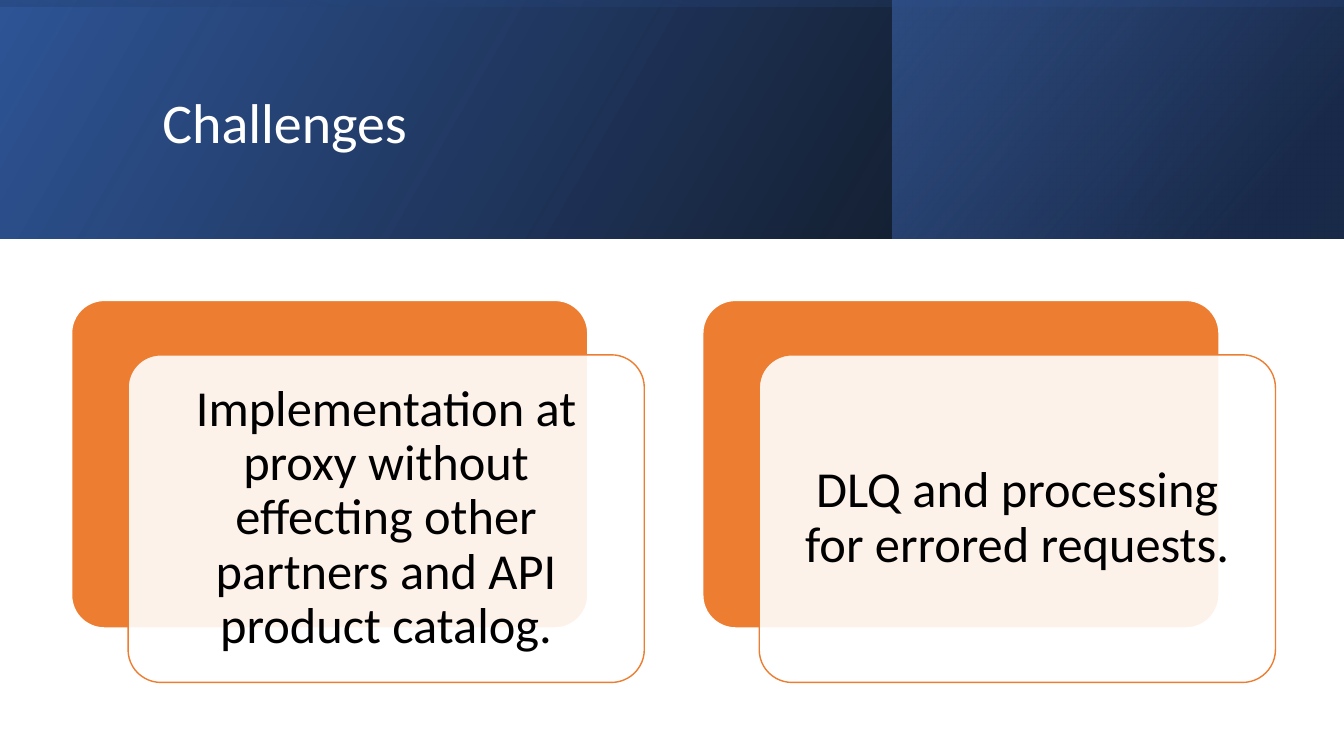
from lxml import etree
from pptx import Presentation
from pptx.dml.color import RGBColor
from pptx.enum.shapes import MSO_SHAPE
from pptx.enum.text import MSO_ANCHOR, PP_ALIGN
from pptx.oxml import parse_xml
from pptx.oxml.ns import nsdecls, qn
from pptx.util import Inches, Pt

RECT, ROUNDED = MSO_SHAPE.RECTANGLE, MSO_SHAPE.ROUNDED_RECTANGLE
MIDDLE = MSO_ANCHOR.MIDDLE
LEFT, CENTER = PP_ALIGN.LEFT, PP_ALIGN.CENTER

WHITE = RGBColor(0xFF, 0xFF, 0xFF)
BLACK = RGBColor(0, 0, 0)
ORANGE = RGBColor(0xED, 0x7D, 0x31)
BLUE = RGBColor(0x2F, 0x55, 0x97)
NAVY = RGBColor(0x20, 0x38, 0x64)
SKY = RGBColor(0x44, 0x72, 0xC4)
FONT = "Calibri"

TITLE = "Challenges"
CHALLENGES = [
    "Implementation at proxy without effecting other partners and API product catalog.",
    "DLQ and processing for errored requests.",
]

SLIDE_W, SLIDE_H = 13.33, 7.5
BAND_H = 2.37
ACCENT_W = 4.48
BAND_MID = (SLIDE_W - BAND_H) / 2
BAND_LAYERS = [
    ((0, 0, SLIDE_W, BAND_H), 0, 330, [(0, BLACK, 96), (100, BLUE, 100)]),
    ((SLIDE_W - ACCENT_W, 0, ACCENT_W, BAND_H), 0, 320, [(19, NAVY, 68), (100, SKY, 48)]),
    ((BAND_MID, -BAND_MID, BAND_H, SLIDE_W), 270, 350, [(23, BLUE, 16), (99, BLACK, 45)]),
]

CARD_W, CARD_H = 5.12, 3.25
CARD_LEFT, CARD_TOP = 0.71, 2.98
CARD_PITCH = 6.26
PANEL_DX, PANEL_DY = 0.56, 0.54

prs = Presentation()
prs.slide_width, prs.slide_height = Inches(SLIDE_W), Inches(SLIDE_H)
slide = prs.slides.add_slide(prs.slide_layouts[5])


def add_block(kind, box):
    block = slide.shapes.add_shape(kind, *(Inches(length) for length in box))
    block.shadow.inherit = False
    return block


def set_alpha(color, percent):
    etree.SubElement(color, qn("a:alpha"), val=str(percent * 1000))


def add_band_layer(box, rotation, angle, stops):
    layer = add_block(RECT, box)
    layer.line.fill.background()
    layer.rotation = rotation
    properties = layer.element.spPr
    properties.find(qn("a:xfrm")).set("flipH", "1")
    gradient = parse_xml(f'<a:gradFill {nsdecls("a")} rotWithShape="1"><a:gsLst/></a:gradFill>')
    for position, color, alpha in stops:
        stop = etree.SubElement(gradient[0], qn("a:gs"), pos=str(position * 1000))
        set_alpha(etree.SubElement(stop, qn("a:srgbClr"), val=str(color)), alpha)
    etree.SubElement(gradient, qn("a:lin"), ang=str(angle * 60000), scaled="0")
    properties.find(qn("a:prstGeom")).addnext(gradient)


def add_card(left, top, fill, outline):
    card = add_block(ROUNDED, (left, top, CARD_W, CARD_H))
    card.adjustments[0] = 0.1
    card.fill.solid()
    card.fill.fore_color.rgb = fill
    card.line.color.rgb = outline
    card.line.width = Pt(1)
    return card


def write(frame, text, size, color, align):
    frame.word_wrap = True
    frame.vertical_anchor = MIDDLE
    paragraph = frame.paragraphs[0]
    paragraph.alignment = align
    paragraph.line_spacing = 0.9
    run = paragraph.add_run()
    run.text = text
    run.font.name, run.font.size = FONT, Pt(size)
    run.font.color.rgb = color


for band_layer in BAND_LAYERS:
    add_band_layer(*band_layer)

title = slide.shapes.title
title.left, title.top = Inches(1.51), Inches(0.38)
title.width, title.height = Inches(10.63), Inches(1.72)
write(title.text_frame, TITLE, 40, WHITE, LEFT)
slide.shapes.element.append(title.element)

for column, challenge in enumerate(CHALLENGES):
    left = CARD_LEFT + column * CARD_PITCH
    add_card(left, CARD_TOP, ORANGE, WHITE)
    panel = add_card(left + PANEL_DX, CARD_TOP + PANEL_DY, WHITE, ORANGE)
    set_alpha(panel.element.spPr.find(f'{qn("a:solidFill")}/{qn("a:srgbClr")}'), 90)
    frame = panel.text_frame
    frame.margin_left = frame.margin_right = Inches(0.15)
    frame.margin_top = frame.margin_bottom = Inches(0.15)
    write(frame, challenge, 36, BLACK, CENTER)

prs.save("out.pptx")
